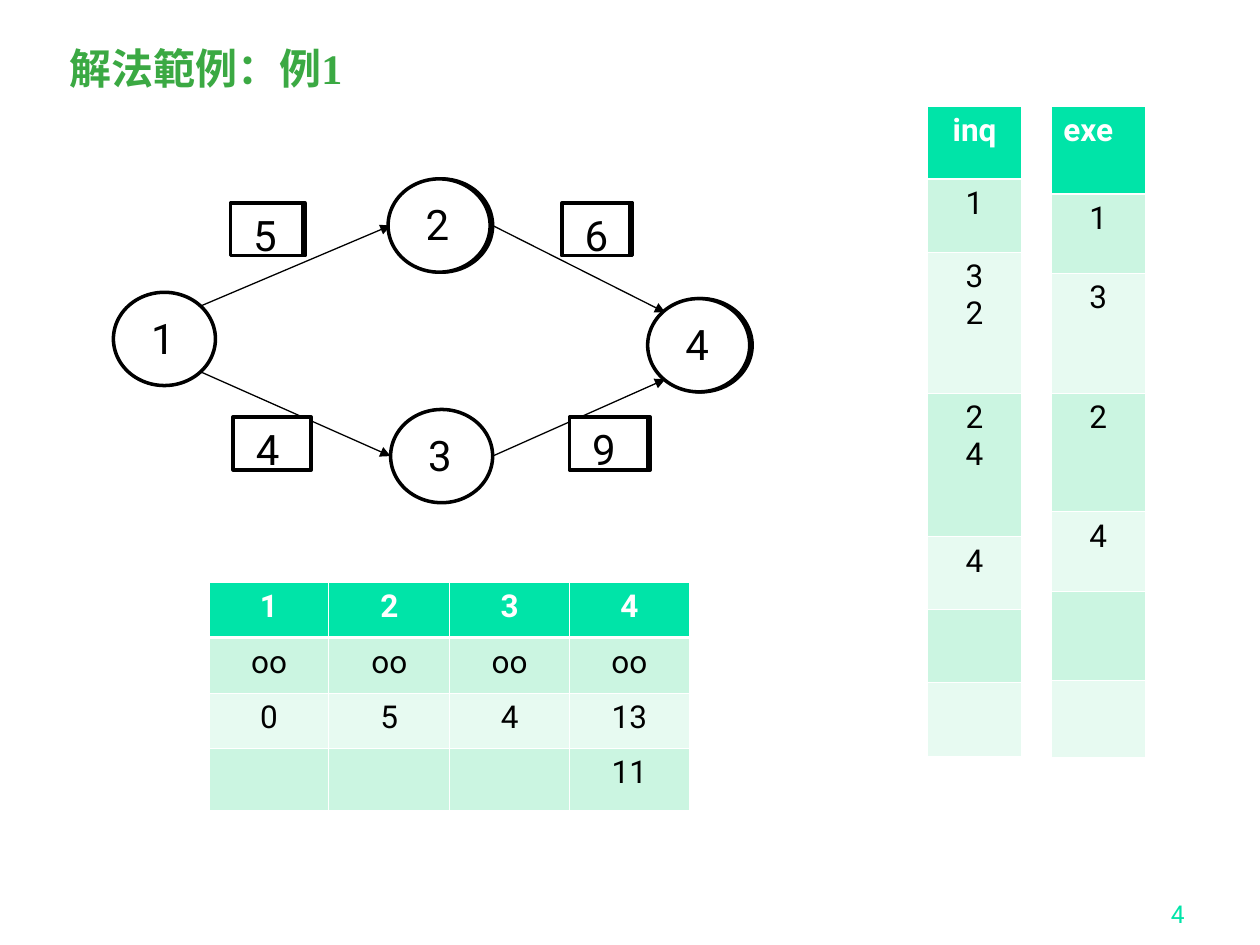
from lxml import etree
from pptx import Presentation
from pptx.dml.color import RGBColor
from pptx.enum.shapes import MSO_CONNECTOR, MSO_SHAPE
from pptx.enum.text import MSO_ANCHOR, PP_ALIGN
from pptx.oxml.ns import qn
from pptx.util import Inches, Pt

OVAL, RECT = MSO_SHAPE.OVAL, MSO_SHAPE.RECTANGLE
LINE = MSO_CONNECTOR.STRAIGHT
LEFT, CENTER, RIGHT = PP_ALIGN.LEFT, PP_ALIGN.CENTER, PP_ALIGN.RIGHT
TOP, MIDDLE, BOTTOM = MSO_ANCHOR.TOP, MSO_ANCHOR.MIDDLE, MSO_ANCHOR.BOTTOM

BLACK, WHITE = "000000", "FFFFFF"
GREEN, MINT = "3BA943", "00E4A8"
BANDS = ["E7FAF1", "CBF5E1"]


def rgb(value):
    return RGBColor.from_string(value)


def style(par, size, color, bold=False, align=LEFT, face="Roboto"):
    par.alignment = align
    font = par.font
    font.name, font.size, font.bold = face, Pt(size), bold
    font.color.rgb = rgb(color)


def add_title(slide, text, box):
    title = slide.shapes.title
    title.left, title.top, title.width, title.height = map(Inches, box)
    frame = title.text_frame
    frame.text = text
    frame.word_wrap = False
    frame.vertical_anchor = MIDDLE
    par = frame.paragraphs[0]
    par.line_spacing = 0.9
    style(par, 24, GREEN, True, face="Times New Roman")


def add_number(slide, text, box):
    frame = slide.shapes.add_textbox(*map(Inches, box)).text_frame
    frame.word_wrap = True
    frame.vertical_anchor = BOTTOM
    frame.text = text
    style(frame.paragraphs[0], 14, MINT, align=RIGHT)


def add_shape(slide, kind, box, text=""):
    shape = slide.shapes.add_shape(kind, *map(Inches, box))
    shape.shadow.inherit = False
    shape.fill.solid()
    shape.fill.fore_color.rgb = rgb(WHITE)
    shape.line.color.rgb = rgb(BLACK)
    shape.line.width = Pt(2)
    if text:
        frame = shape.text_frame
        frame.word_wrap = True
        frame.vertical_anchor = TOP
        frame.margin_left = Inches(0.18)
        frame.text = text
        style(frame.paragraphs[0], 24, BLACK)


def add_edge(slide, start, end):
    edge = slide.shapes.add_connector(LINE, *map(Inches, start + end))
    edge.line.color.rgb = rgb(BLACK)
    edge.line.width = Pt(0.75)
    etree.SubElement(edge.line._get_or_add_ln(), qn("a:tailEnd"), type="triangle")
    etree.SubElement(edge._element.spPr, qn("a:effectLst"))


def add_graph(slide, left, top):
    """Weighted graph; all places are offsets from its top left corner."""
    edges = [
        ((0.69, 1.01), (2.2, 0.37)),
        ((3.01, 0.37), (4.38, 1.06)),
        ((0.69, 1.53), (2.2, 2.2)),
        ((3.01, 2.2), (4.38, 1.59)),
    ]
    # text, x, y, width, and whether a second outline shows behind
    weights = [
        ("5", 0.93, 0.19, 0.57, True),
        ("6", 3.56, 0.19, 0.54, True),
        ("4", 0.95, 1.89, 0.62, False),
        ("9", 3.62, 1.89, 0.62, True),
    ]
    nodes = [
        ("1", 0, 0.9, 0.81, False),
        ("2", 2.18, 0, 0.81, True),
        ("3", 2.2, 1.83, 0.81, False),
        ("4", 4.24, 0.95, 0.81, True),
    ]
    for start, end in edges:
        add_edge(slide, (left + start[0], top + start[1]),
                 (left + end[0], top + end[1]))
    for kind, height, parts in [(RECT, 0.42, weights), (OVAL, 0.74, nodes)]:
        for text, x, y, width, double in parts:
            x, y = left + x, top + y
            if double:
                add_shape(slide, kind, (x + 0.02, y, width, height))
            add_shape(slide, kind, (x, y, width, height), text)


def set_borders(cell, widths):
    props = cell._tc.get_or_add_tcPr()
    for index, (side, width) in enumerate(zip("LRTB", widths)):
        line = etree.Element(qn("a:ln" + side), w=str(Pt(width)))
        fill = etree.SubElement(line, qn("a:solidFill"))
        etree.SubElement(fill, qn("a:srgbClr"), val=WHITE)
        props.insert(index, line)


def add_grid(slide, left, top, widths, heights, rows, head=CENTER):
    table = slide.shapes.add_table(
        len(rows), len(widths), Inches(left), Inches(top),
        Inches(sum(widths)), Inches(sum(heights))).table
    for column, width in zip(table.columns, widths):
        column.width = Inches(width)
    for row, height in zip(table.rows, heights):
        row.height = Inches(height)
    for r, texts in enumerate(rows):
        first = r == 0
        for c, text in enumerate(texts):
            cell = table.cell(r, c)
            cell.fill.solid()
            cell.fill.fore_color.rgb = rgb(MINT if first else BANDS[r % 2])
            set_borders(cell, (0.45, 0.45, 1.47 if r == 1 else 0.45,
                               1.47 if first else 0.45))
            cell.text = text
            for par in cell.text_frame.paragraphs:
                style(par, 18, WHITE if first else BLACK, first,
                      head if first else CENTER)


def add_queue(slide, left, heights, texts, head=CENTER):
    add_grid(slide, left, 0.84, [0.75], heights, [[t] for t in texts], head)


def main():
    deck = Presentation()
    deck.slide_width, deck.slide_height = Inches(10), Inches(7.5)
    slide = deck.slides.add_slide(deck.slide_layouts[5])

    add_title(slide, "解法範例：例1", (0.45, 0.33, 2.47, 0.47))
    add_graph(slide, 0.9, 1.42)

    # Distance table
    add_grid(slide, 1.66, 4.62, [0.95, 0.96, 0.95, 0.95],
             [0.44, 0.44, 0.44, 0.49],
             [["1", "2", "3", "4"], ["oo"] * 4,
              ["0", "5", "4", "13"], ["", "", "", "11"]])

    # Queue content and executed nodes
    add_queue(slide, 7.36, [0.58, 0.58, 1.12, 1.14, 0.58, 0.58, 0.58],
              ["inq", "1", "3\n2", "2\n4", "4", "", ""])
    add_queue(slide, 8.34, [0.7, 0.63, 0.95, 0.94, 0.63, 0.71, 0.61],
              ["exe", "1", "3", "2", "4", "", ""], LEFT)

    add_number(slide, "4", (7.42, 6.92, 2.08, 0.5))
    deck.save("out.pptx")


if __name__ == "__main__":
    main()
